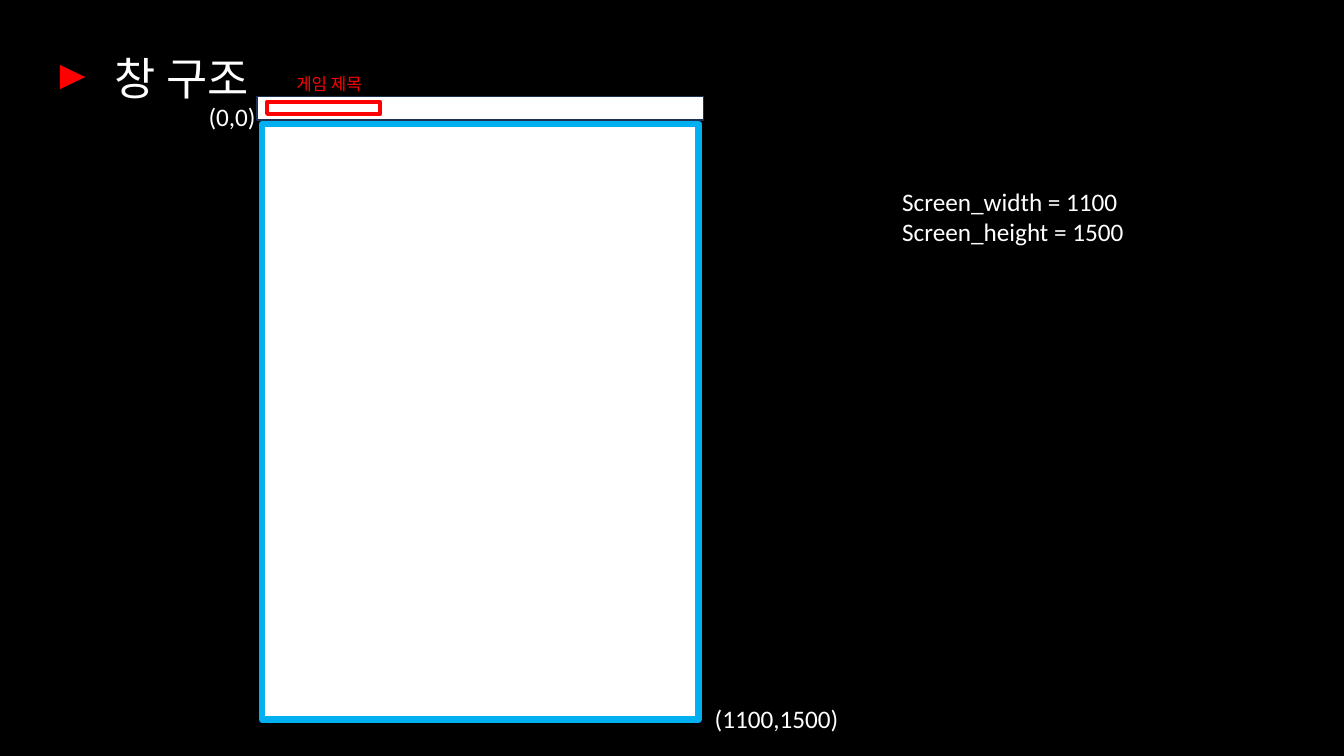
from dataclasses import dataclass

from lxml.etree import SubElement
from pptx import Presentation
from pptx.dml.color import RGBColor
from pptx.enum.shapes import MSO_SHAPE
from pptx.enum.text import MSO_AUTO_SIZE
from pptx.oxml.ns import qn
from pptx.util import Inches, Pt


@dataclass(frozen=True)
class Theme:
    black: str = "000000"
    white: str = "FFFFFF"
    red: str = "FF0000"
    blue: str = "00B0F0"
    navy: str = "1E3256"
    latin: str = "Calibri"
    korean: str = "Noto Sans CJK KR"
    title: int = 32
    body: int = 18
    caption: int = 12


THEME = Theme()


def apply_format(target, values):
    for name, value in values.items():
        setattr(target, name, value)


def paint(fill, color):
    if color is None:
        fill.background()
    else:
        fill.solid()
        fill.fore_color.rgb = RGBColor.from_string(color)


def add_figure(page, kind, bounds, fill=None, line=None, width=1, rotation=0):
    figure = page.shapes.add_shape(kind, *map(Inches, bounds))
    figure.shadow.inherit = False
    figure.rotation = rotation
    paint(figure.fill, fill)
    paint(figure.line.fill, line)
    if line:
        figure.line.width = Pt(width)


def add_label(page, bounds, lines, size=THEME.body, color=THEME.white,
              font=THEME.latin, wrap=False):
    box = page.shapes.add_textbox(*map(Inches, bounds))
    frame = box.text_frame
    apply_format(frame, {"word_wrap": wrap, "auto_size": MSO_AUTO_SIZE.SHAPE_TO_FIT_TEXT})
    for index, text in enumerate(lines):
        para = frame.add_paragraph() if index else frame.paragraphs[0]
        span = para.add_run()
        span.text = text
        apply_format(span.font, {"size": Pt(size), "name": font})
        span.font.color.rgb = RGBColor.from_string(color)
        east_asian = SubElement(span.font._element, qn("a:ea"))
        east_asian.set("typeface", THEME.korean)


def add_heading(page):
    add_label(page, (1.04, 0.45, 6.29, 0.64), ["창 구조"], THEME.title,
              font=THEME.korean, wrap=True)
    add_figure(page, MSO_SHAPE.ISOSCELES_TRIANGLE, (0.6, 0.64, 0.24, 0.25),
               THEME.red, rotation=90)


def add_game_window(page):
    add_figure(page, MSO_SHAPE.RECTANGLE, (2.6, 1.23, 4.33, 5.91),
               THEME.white, THEME.blue, 4.5)
    add_label(page, (8.85, 1.8, 2.43, 0.71),
              ["Screen_width = 1100", "Screen_height = 1500"])
    add_label(page, (1.97, 0.96, 0.68, 0.4), ["(0,0)"])
    add_label(page, (6.99, 6.93, 1.44, 0.4), ["(1100,1500)"])
    add_figure(page, MSO_SHAPE.RECTANGLE, (2.65, 1.01, 1.12, 0.12),
               line=THEME.red, width=3)
    add_label(page, (2.84, 0.68, 1.75, 0.3), ["게임 제목"], THEME.caption,
              THEME.red, wrap=True)


def main():
    deck = Presentation()
    apply_format(deck, {"slide_width": Inches(13.33), "slide_height": Inches(7.5)})
    page = deck.slides.add_slide(deck.slide_layouts[6])
    paint(page.background.fill, THEME.black)
    add_figure(page, MSO_SHAPE.RECTANGLE, (2.55, 0.96, 4.43, 0.23),
               THEME.white, THEME.navy)
    add_heading(page)
    add_game_window(page)
    deck.save("out.pptx")


if __name__ == "__main__":
    main()
